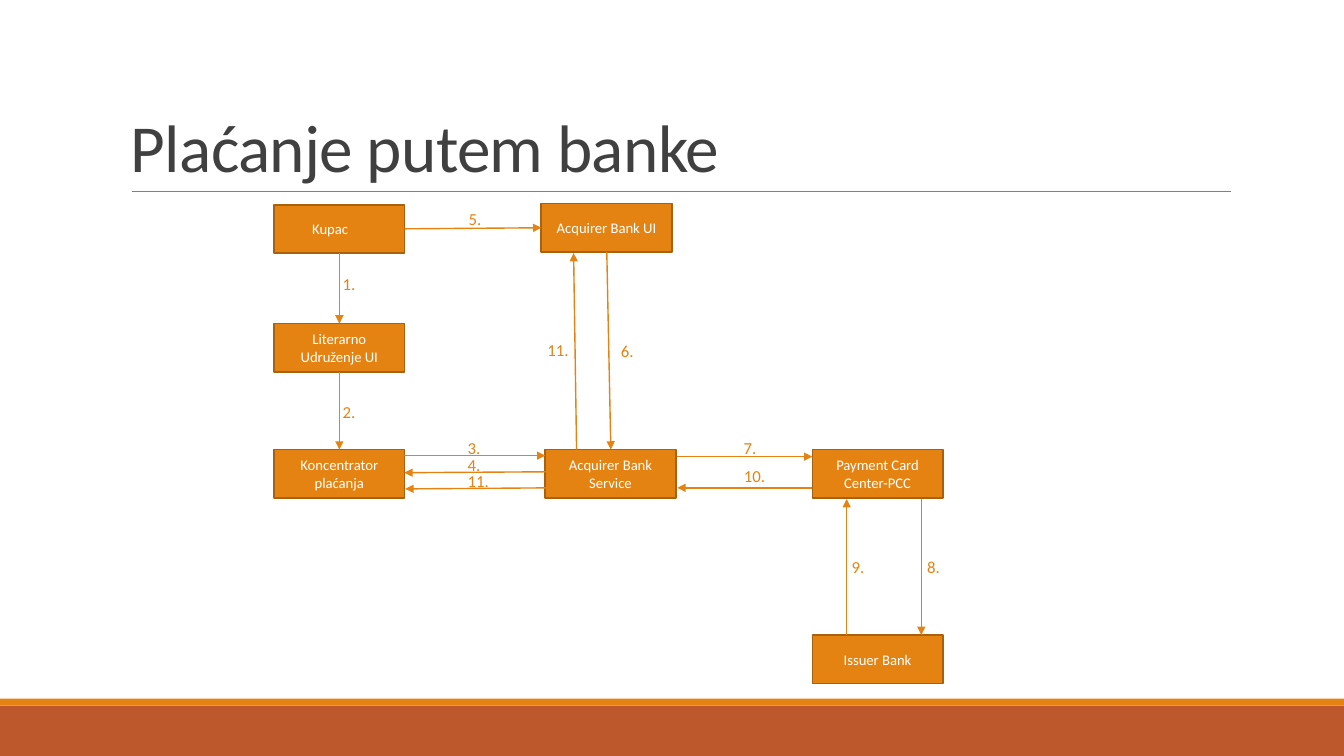
from lxml import etree
from pptx import Presentation
from pptx.dml.color import RGBColor
from pptx.enum.shapes import MSO_CONNECTOR, MSO_SHAPE
from pptx.enum.text import MSO_ANCHOR, PP_ALIGN
from pptx.oxml.ns import qn
from pptx.util import Inches, Pt

RECTANGLE = MSO_SHAPE.RECTANGLE
STRAIGHT = MSO_CONNECTOR.STRAIGHT
TOP, MIDDLE, BOTTOM = MSO_ANCHOR.TOP, MSO_ANCHOR.MIDDLE, MSO_ANCHOR.BOTTOM
LEFT, CENTER = PP_ALIGN.LEFT, PP_ALIGN.CENTER
TOP_SITE, LEFT_SITE, BOTTOM_SITE, RIGHT_SITE = range(4)

COLORS = {
    "orange": "E48312",
    "border": "A9610D",
    "rust": "BD582C",
    "rule": "808080",
    "title": "404040",
    "white": "FFFFFF",
}
FONT = "Calibri"

# Shares of the slide's size, in percent
BOX_WIDTH, BOX_HEIGHT = 9.7, 6.4
BOXES = {
    "buyer": (20.4, 27.07, "Kupac"),
    "association": (20.4, 42.8, "Literarno Udruženje UI"),
    "hub": (20.4, 59.47, "Koncentrator plaćanja"),
    "bank_ui": (40.28, 26.93, "Acquirer Bank UI"),
    "bank_service": (40.58, 59.47, "Acquirer Bank\nService"),
    "card_center": (60.45, 59.47, "Payment Card Center-PCC"),
    "issuer": (60.45, 84, "Issuer Bank"),
}
# Arrows between the middles of box sides
LINKS = [
    ("buyer", BOTTOM_SITE, "association", TOP_SITE),
    ("association", BOTTOM_SITE, "hub", TOP_SITE),
    ("buyer", RIGHT_SITE, "bank_ui", LEFT_SITE),
]
# Arrows that share a side with others: start, end
ARROWS = [
    ((30.08, 60.27), (40.58, 60.27)),
    ((41.25, 62.4), (30.08, 62.53)),
    ((41.25, 64.53), (30.15, 64.67)),
    ((45.15, 33.33), (45.45, 59.47)),
    ((42.9, 59.47), (42.68, 33.47)),
    ((50.4, 60.4), (60.45, 60.4)),
    ((60.45, 64.53), (50.4, 64.53)),
    ((68.55, 66), (68.55, 84)),
    ((63, 84), (63, 66)),
]
STEPS = [
    ("1.", 24.75, 35.6),
    ("2.", 24.75, 52.53),
    ("3.", 34.05, 57.2),
    ("4.", 34.05, 59.47),
    ("5.", 34.13, 26.93),
    ("6.", 45.45, 44.4),
    ("7.", 54.6, 57.2),
    ("8.", 68.25, 72.93),
    ("9.", 62.63, 72.93),
    ("10.", 54.6, 60.93),
    ("11.", 34.05, 61.6),
    ("11.", 39.98, 44.27),
]


def color(name):
    return RGBColor.from_string(COLORS[name])


class SlideBuilder:
    def __init__(self, presentation):
        self.width = presentation.slide_width
        self.height = presentation.slide_height
        self.slide = presentation.slides.add_slide(presentation.slide_layouts[6])
        self.shapes = self.slide.shapes

    def lengths(self, *shares):
        """Turn alternating x and y shares into lengths."""
        sizes = (self.width, self.height) * 2
        return [round(size * share / 100) for size, share in zip(sizes, shares)]

    def set_text(self, shape, text, size, ink, align, anchor):
        frame = shape.text_frame
        frame.word_wrap = True
        frame.vertical_anchor = anchor
        frame.text = text
        for paragraph in frame.paragraphs:
            paragraph.alignment = align
            paragraph.font.name = FONT
            paragraph.font.size = Pt(size)
            paragraph.font.color.rgb = color(ink)
        return frame

    def bar(self, left, top, width, height, fill):
        shape = self.shapes.add_shape(RECTANGLE, *self.lengths(left, top, width, height))
        shape.shadow.inherit = False
        shape.fill.solid()
        shape.fill.fore_color.rgb = color(fill)
        shape.line.fill.background()
        return shape

    def box(self, left, top, text):
        shape = self.bar(left, top, BOX_WIDTH, BOX_HEIGHT, "orange")
        shape.line.color.rgb = color("border")
        shape.line.width = Pt(1.25)
        self.set_text(shape, text, 10.5, "white", CENTER, MIDDLE)
        return shape

    def label(self, text, left, top):
        width = 2.48 if len(text) == 2 else 3.15
        shape = self.shapes.add_textbox(*self.lengths(left, top, width, 4))
        self.set_text(shape, text, 12, "orange", LEFT, TOP)

    def title(self, text):
        shape = self.shapes.add_textbox(*self.lengths(9, 4.13, 82.5, 21.2))
        paragraph = self.set_text(shape, text, 48, "title", LEFT, BOTTOM).paragraphs[0]
        paragraph.line_spacing = 0.85
        paragraph.runs[0]._r.get_or_add_rPr().set("spc", "-50")

    def line(self, start, end, ink, weight):
        connector = self.shapes.add_connector(STRAIGHT, *self.lengths(*start, *end))
        connector.line.color.rgb = color(ink)
        connector.line.width = Pt(weight)
        etree.SubElement(connector._element.spPr, qn("a:effectLst"))
        return connector

    def arrow(self, start=(0, 0), end=(0, 0)):
        connector = self.line(start, end, "orange", 1)
        outline = connector._element.spPr.find(qn("a:ln"))
        etree.SubElement(outline, qn("a:tailEnd"), type="triangle")
        return connector

    def link(self, source, source_site, target, target_site):
        connector = self.arrow()
        connector.begin_connect(source, source_site)
        connector.end_connect(target, target_site)


def main():
    presentation = Presentation()
    presentation.slide_width = Inches(13.33)
    presentation.slide_height = Inches(7.5)
    builder = SlideBuilder(presentation)

    # Footer bars, title and rule
    builder.bar(0, 93.33, 100, 6.67, "rust")
    builder.bar(0, 92.4, 100, 0.93, "orange")
    builder.line((9.83, 25.33), (91.58, 25.33), "rule", 0.5)
    builder.title("Plaćanje putem banke")

    # Participants
    boxes = {name: builder.box(*values) for name, values in BOXES.items()}
    boxes["buyer"].text_frame.margin_right = Inches(0.28)

    # Payment flow
    for source, source_site, target, target_site in LINKS:
        builder.link(boxes[source], source_site, boxes[target], target_site)
    for start, end in ARROWS:
        builder.arrow(start, end)
    for step in STEPS:
        builder.label(*step)

    presentation.save("out.pptx")


if __name__ == "__main__":
    main()
